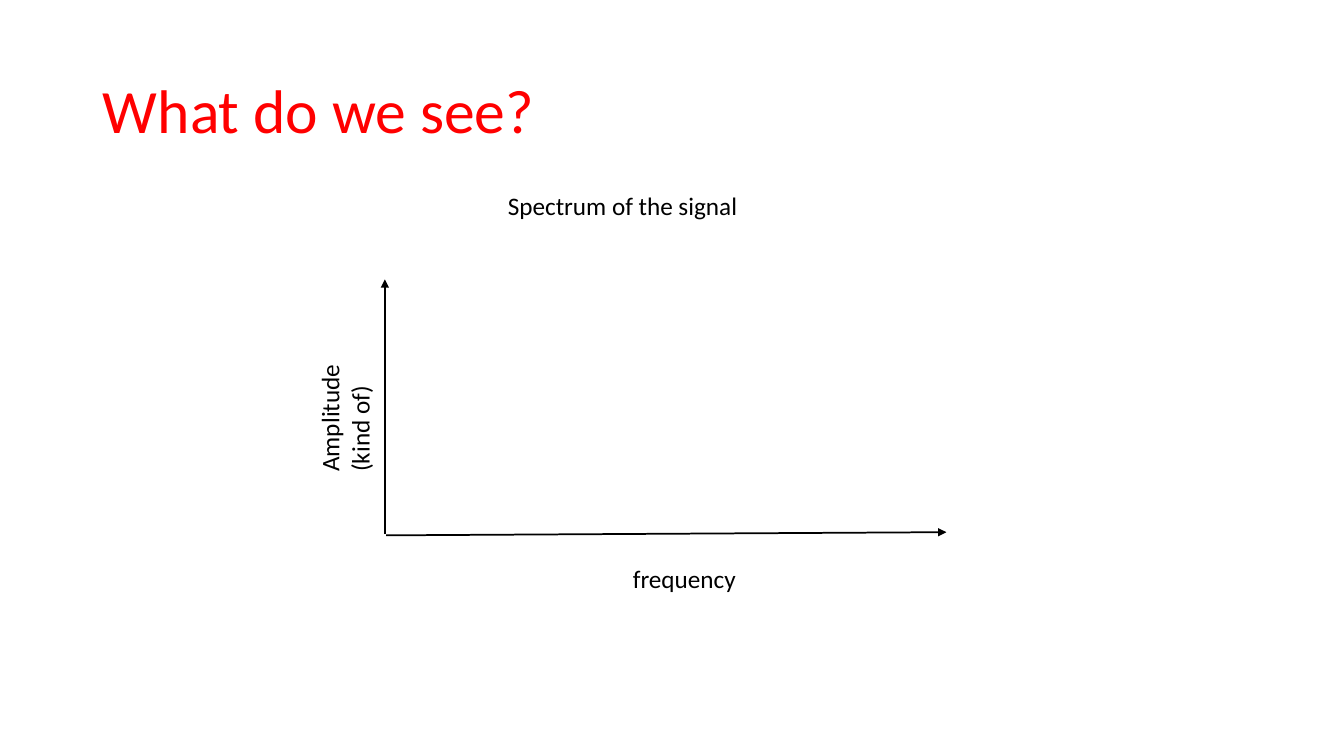
from lxml.etree import SubElement as Sub
from pptx import Presentation
from pptx.dml.color import RGBColor as Rgb
from pptx.enum.shapes import MSO_CONNECTOR as Link
from pptx.enum.text import MSO_ANCHOR as Anchor, MSO_AUTO_SIZE as Fit, PP_ALIGN as Align
from pptx.oxml.ns import qn
from pptx.util import Cm, Pt

HUES = {"title": "FF0000", "ink": "000000"}
TITLE = {"name": "Calibri", "size": Pt(44), "bold": False}
LABEL = {"name": "Calibri", "size": Pt(18)}


def style(obj, vals):
    """Set each attribute in vals on obj."""
    for key, val in vals.items():
        setattr(obj, key, val)


def write(frame, text, font, hue):
    """Put one left-aligned, formatted run of text in a frame."""
    par = frame.paragraphs[0]
    par.alignment = Align.LEFT
    run = par.add_run()
    run.text = text
    style(run.font, font)
    run.font.color.rgb = Rgb.from_string(HUES[hue])
    return par


def add_title(slide, text):
    """Place and fill the title placeholder."""
    title = slide.shapes.title
    style(title, {"left": Cm(2.34), "top": Cm(1.02),
                  "width": Cm(29.21), "height": Cm(3.68)})
    style(title.text_frame, {"vertical_anchor": Anchor.MIDDLE,
                             "word_wrap": True, "auto_size": Fit.NONE})
    write(title.text_frame, text, TITLE, "title").line_spacing = 0.9


def add_label(slide, text, box, turn=0):
    """Add a wrapped label, turned by the given degrees."""
    label = slide.shapes.add_textbox(*map(Cm, box))
    label.rotation = turn
    style(label.text_frame, {"word_wrap": True,
                             "auto_size": Fit.SHAPE_TO_FIT_TEXT})
    write(label.text_frame, text, LABEL, "ink")


def add_axis(slide, ends):
    """Add an axis line with an arrowhead at its far end."""
    axis = slide.shapes.add_connector(Link.STRAIGHT, *map(Cm, ends))
    axis.line.width = Pt(1.25)
    axis.line.color.rgb = Rgb.from_string(HUES["ink"])
    props = axis._element.spPr
    Sub(props.find(qn("a:ln")), qn("a:tailEnd"), type="triangle")
    Sub(props, qn("a:effectLst"))


def main():
    """Build the slide with the empty spectrum axes."""
    deck = Presentation()
    style(deck, {"slide_width": Cm(33.87), "slide_height": Cm(19.05)})
    slide = deck.slides.add_slide(deck.slide_layouts[5])
    add_title(slide, "What do we see?")
    add_axis(slide, (9.73, 13.49, 23.85, 13.41))
    add_axis(slide, (9.7, 13.46, 9.7, 7.04))
    add_label(slide, "frequency", (15.7, 14.07, 7.72, 1.03))
    add_label(slide, "Amplitude (kind of)", (6.65, 9.19, 4.09, 1.8), 270)
    add_label(slide, "Spectrum of the signal", (12.55, 4.67, 10.16, 1.03))
    deck.save("out.pptx")


main()
